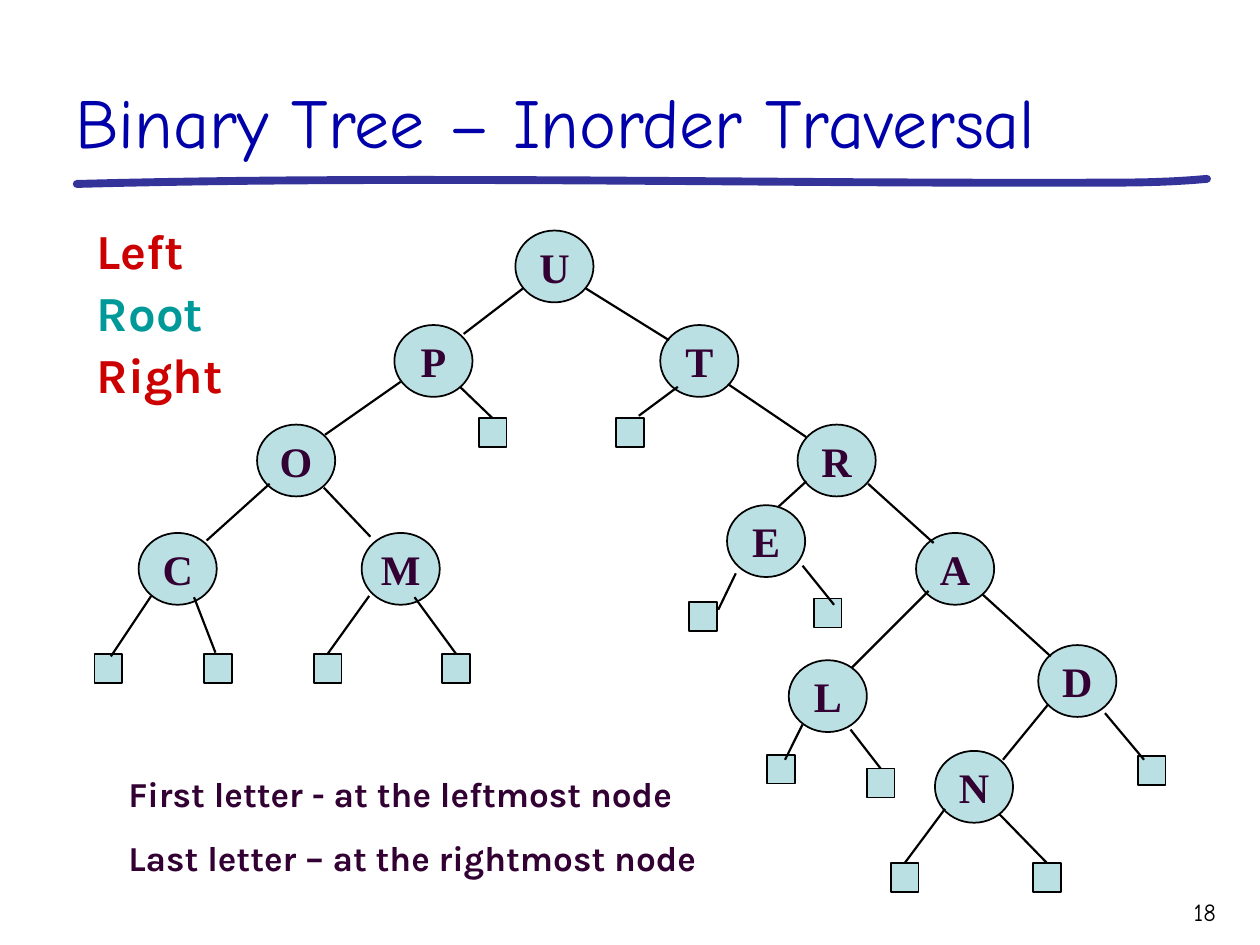
from lxml import etree
from pptx import Presentation
from pptx.dml.color import RGBColor
from pptx.oxml.ns import qn
from pptx.util import Inches, Pt
from pptx.enum import shapes, text

COLORS = {"title": "0000AA", "rule": "333399", "node": "BBE0E3", "ink": "330033",
          "black": "000000", "red": "CC0000", "teal": "009999"}
CELL = 0.1                 # grid of 100 columns by 75 rows
NODE_W, NODE_H = 6.2, 5.7
LEAF_W, LEAF_H = 2.2, 2.3
LEAF, TOP = "", None       # TOP: the edge joins the middle of the leaf's top side

# label, column, row, start and end of the edge from the parent
TREE = [
    ("U", 33.4, 0, None, None),
    ("P", 23.8, 7.5, (34, 4.6), (29.3, 8.2)),
    ("T", 44.9, 7.5, (39, 4.6), (45.6, 8.7)),
    ("O", 12.9, 15.4, (24.3, 12), (18.3, 16.2)),
    (LEAF, 30.5, 14.9, (29, 12.4), TOP),
    (LEAF, 41.4, 14.9, (46.3, 12.4), (43.2, 14.7)),
    ("R", 55.8, 15.4, (50.3, 12.2), (56.5, 16.4)),
    ("C", 3.5, 24, (13.9, 20.1), (8.9, 24.6)),
    ("M", 21.2, 24, (18.2, 20.4), (21.9, 24.3)),
    ("E", 50.2, 21.8, (56.5, 19.9), (54.3, 21.9)),
    ("A", 65.2, 24, (61.4, 20.1), (66.6, 24.8)),
    (LEAF, 0, 33.6, (4.5, 29), (1.3, 33.8)),
    (LEAF, 8.7, 33.6, (7.9, 29.1), (9.6, 33.5)),
    (LEAF, 17.4, 33.6, (21.8, 29), TOP),
    (LEAF, 27.6, 33.6, (25.4, 29.1), TOP),
    (LEAF, 47.2, 29.5, (50.9, 27.2), (49.5, 30.1)),
    (LEAF, 57.1, 29.2, (56.2, 26.6), (58.7, 29.7)),
    ("L", 55.1, 34.1, (66.2, 28.6), (60.1, 34.7)),
    ("D", 74.9, 32.9, (70.5, 28.9), (75.9, 33.8)),
    (LEAF, 53.4, 41.6, (56.2, 39.2), (54.8, 42)),
    (LEAF, 61.3, 42.7, (60, 39.6), TOP),
    ("N", 66.7, 41.3, (75.7, 37.6), (72.1, 42)),
    (LEAF, 82.8, 41.7, (80.2, 38.3), (83.3, 42)),
    (LEAF, 63.2, 50.2, (67.5, 45.9), TOP),
    (LEAF, 74.5, 50.2, (71.8, 46.3), TOP),
]


def cells(*values):
    return [Inches(v * CELL) for v in values]


def rgb(name):
    return RGBColor.from_string(COLORS[name])


def set_font(p, name, size, color, bold=False):
    p.font.name, p.font.size, p.font.bold = name, Pt(size), bold
    p.font.color.rgb = rgb(color)


def add_text(slide, box, lines, font, size, bold=False, gap=0, spacing=None,
             align=text.PP_ALIGN.LEFT, anchor=text.MSO_ANCHOR.TOP):
    """Place (wording, colour) lines as paragraphs in the box."""
    tf = slide.shapes.add_textbox(*cells(*box)).text_frame
    tf.word_wrap, tf.vertical_anchor = True, anchor
    for i, (wording, color) in enumerate(lines):
        p = tf.paragraphs[0] if i == 0 else tf.add_paragraph()
        p.text, p.alignment = wording, align
        if spacing:
            p.line_spacing = spacing
        if i:
            p.space_before = Pt(gap)
        set_font(p, font, size, color, bold)


def bezier(a, b, c, d, steps=24):
    for i in range(1, steps + 1):
        t = i / steps
        s = 1 - t
        yield tuple(s**3 * e + 3 * s * s * t * f + 3 * s * t * t * g + t**3 * h
                    for e, f, g, h in zip(a, b, c, d))


def add_rule(slide, box):
    """Hand-drawn stroke; its points are shares of the box."""
    left, top, width, height = box
    start, bend = (0, 0.8), (0.91, 0.6)
    curve = [start, *bezier(start, (0.3, -0.6), (0.6, 0.8), bend),
             *bezier(bend, (0.94, 0.6), (0.97, 0.5), (1, 0))]
    points = [cells(left + x * width, top + y * height) for x, y in curve]
    builder = slide.shapes.build_freeform(*points[0])
    builder.add_line_segments(points[1:], close=False)
    sp = builder.convert_to_shape()
    sp.shadow.inherit = False
    sp.fill.background()
    sp.line.color.rgb, sp.line.width = rgb("rule"), Pt(4.5)
    sp.line._get_or_add_ln().set("cap", "rnd")


def add_node(slide, x, y, label):
    kind, w, h = ((shapes.MSO_SHAPE.OVAL, NODE_W, NODE_H) if label
                  else (shapes.MSO_SHAPE.RECTANGLE, LEAF_W, LEAF_H))
    sp = slide.shapes.add_shape(kind, *cells(x, y, w, h))
    sp.shadow.inherit = False
    sp.fill.solid()
    sp.fill.fore_color.rgb = rgb("node")
    sp.line.color.rgb, sp.line.width = rgb("black"), Pt(1)
    if label:
        tf = sp.text_frame
        tf.word_wrap, tf.vertical_anchor = False, text.MSO_ANCHOR.MIDDLE
        p = tf.paragraphs[0]
        p.text, p.alignment = label, text.PP_ALIGN.CENTER
        set_font(p, "Times New Roman", 24, "ink", True)
    return sp


def add_edge(slide, start, end, child=None):
    line = slide.shapes.add_connector(shapes.MSO_CONNECTOR.STRAIGHT,
                                      *cells(*start, *end))
    line.line.color.rgb, line.line.width = rgb("black"), Pt(1.25)
    etree.SubElement(line._element.spPr, qn("a:effectLst"))
    if child is not None:
        line.end_connect(child, 0)


def add_tree(slide, box):
    left, top = box[:2]
    nodes = [add_node(slide, left + x, top + y, label)
             for label, x, y, _, _ in TREE]
    # Edges lie above the nodes
    for node, (_, x, y, start, end) in zip(nodes, TREE):
        if start is None:
            continue
        tip = end or (x + LEAF_W / 2, y)
        add_edge(slide, (left + start[0], top + start[1]),
                 (left + tip[0], top + tip[1]), node if end is TOP else None)


def build_slide(prs):
    slide = prs.slides.add_slide(prs.slide_layouts[6])
    # Heading and page number
    add_rule(slide, (6.1, 14.2, 89.7, 0.5))
    add_text(slide, (5, 1.7, 92.5, 11.7),
             [("Binary Tree – Inorder Traversal", "title")],
             "Comic Neue", 40, anchor=text.MSO_ANCHOR.BOTTOM)
    add_text(slide, (87.5, 70.7, 10, 3.5), [("18", "black")],
             "Comic Neue", 14, align=text.PP_ALIGN.RIGHT)
    # Tree
    add_tree(slide, (7.5, 18.3, 85, 52.5))
    # Visiting order and notes
    add_text(slide, (6.7, 17.5, 21.8, 15.1),
             [("Left", "red"), ("Root", "teal"), ("Right", "red")],
             "Karla", 28, bold=True, gap=5.2, spacing=0.9)
    add_text(slide, (9.2, 60.8, 50.8, 9.4),
             [("First letter - at the leftmost node", "ink"),
              ("Last letter – at the rightmost node", "ink")],
             "Karla", 20, bold=True, gap=12.5)


def main():
    prs = Presentation()
    prs.slide_width, prs.slide_height = cells(100, 75)
    build_slide(prs)
    prs.save("out.pptx")


if __name__ == "__main__":
    main()
